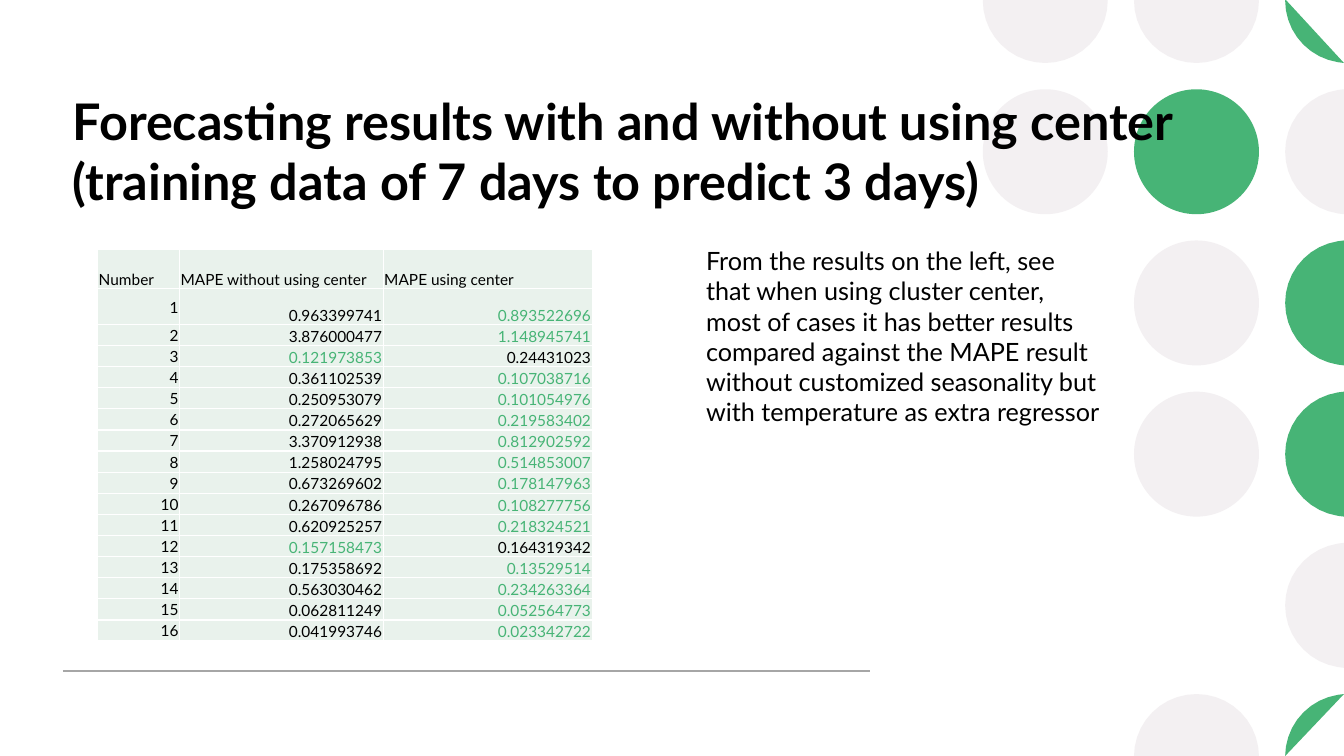
from dataclasses import dataclass
from math import cos, pi, sin

from lxml.etree import SubElement
from pptx import Presentation
from pptx.dml.color import RGBColor
from pptx.enum.shapes import MSO_CONNECTOR, MSO_SHAPE
from pptx.enum.text import MSO_ANCHOR, PP_ALIGN
from pptx.oxml.ns import qn
from pptx.slide import Slide
from pptx.table import _Cell
from pptx.text.text import TextFrame
from pptx.util import Emu, Pt

WIDTH, HEIGHT = 1280, 720


@dataclass(frozen=True)
class Theme:
    font: str = "Lato"
    ink: str = "000000"
    green: str = "47B476"
    grey: str = "F3F0F2"
    rule: str = "A6A6A6"
    cell: str = "E9F2EC"
    title: int = 36
    body: int = 18
    small: int = 11


@dataclass(frozen=True)
class Dot:
    left: int
    top: int
    color: str


@dataclass(frozen=True)
class Label:
    left: int
    top: int
    width: int
    height: int
    text: str
    size: int
    bold: bool = False


@dataclass(frozen=True)
class Result:
    number: int
    without: str
    using: str


THEME = Theme()

# Dot grid: one string per row, g = grey, G = green
DOTS = ["ggG", "gGg", ".gG", ".gG", "..g", ".gG"]
DOT, STEP, LEFT, TOP = 119, 144, 936, -59
SIDES = 40

LABELS = [
    Label(60, 81, 1178, 133,
          "Forecasting results with and without using center "
          "(training data of 7 days to predict 3 days)", THEME.title, True),
    Label(663, 229, 394, 213,
          "From the results on the left, see that when using cluster center, "
          "most of cases it has better results compared against the MAPE result "
          "without customized seasonality but with temperature as extra regressor",
          THEME.body),
]

HEADS = ["Number", "MAPE without using center", "MAPE using center"]
PAIRS = [
    ("0.963399741", "0.893522696"), ("3.876000477", "1.148945741"),
    ("0.121973853", "0.24431023"), ("0.361102539", "0.107038716"),
    ("0.250953079", "0.101054976"), ("0.272065629", "0.219583402"),
    ("3.370912938", "0.812902592"), ("1.258024795", "0.514853007"),
    ("0.673269602", "0.178147963"), ("0.267096786", "0.108277756"),
    ("0.620925257", "0.218324521"), ("0.157158473", "0.164319342"),
    ("0.175358692", "0.13529514"), ("0.563030462", "0.234263364"),
    ("0.062811249", "0.052564773"), ("0.041993746", "0.023342722"),
]
RESULTS = [Result(i, *pair) for i, pair in enumerate(PAIRS, 1)]
COLS = [78, 194, 199]
HEAD, FIRST, REST = 37, 34, 302


def px(value: float) -> Emu:
    return Emu(round(value * 9525))


def rgb(code: str) -> RGBColor:
    return RGBColor.from_string(code)


def write(frame: TextFrame, text: str, size: int, color: str = THEME.ink,
          bold: bool = False, align: PP_ALIGN = PP_ALIGN.LEFT) -> None:
    frame.text = text
    para = frame.paragraphs[0]
    para.alignment = align
    font = para.runs[0].font
    font.name, font.size, font.bold = THEME.font, Pt(size), bold
    font.color.rgb = rgb(color)


def draw_dot(slide: Slide, dot: Dot) -> None:
    """Draw a circle, cut off where it would leave the slide."""
    right, low = dot.left + DOT, dot.top + DOT
    if dot.top >= 0 and right <= WIDTH and low <= HEIGHT:
        shape = slide.shapes.add_shape(
            MSO_SHAPE.OVAL, px(dot.left), px(dot.top), px(DOT), px(DOT))
    else:
        half = DOT / 2
        points = []
        for step in range(SIDES):
            turn = step * 2 * pi / SIDES
            x = min(dot.left + half + half * cos(turn), WIDTH)
            y = min(max(dot.top + half + half * sin(turn), 0), HEIGHT)
            # Cut parts need only the ends of their straight edge
            points.append((px(x), px(y)))
        outline = [p for i, p in enumerate(points)
                   if not is_inner(points[i - 1], p, points[(i + 1) % SIDES])]
        path = slide.shapes.build_freeform(*outline[0])
        path.add_line_segments(outline[1:], close=True)
        shape = path.convert_to_shape()
    shape.shadow.inherit = False
    shape.fill.solid()
    shape.fill.fore_color.rgb = rgb(dot.color)
    shape.line.fill.background()


def is_inner(last: tuple, here: tuple, after: tuple) -> bool:
    """Tell whether a point lies between others on a straight edge."""
    return any(last[i] == here[i] == after[i] for i in (0, 1))


def draw_rule(slide: Slide, left: int, right: int, y: int) -> None:
    line = slide.shapes.add_connector(
        MSO_CONNECTOR.STRAIGHT, px(left), px(y), px(right), px(y))
    line.line.color.rgb = rgb(THEME.rule)
    line.line.width = Pt(1)
    SubElement(line._element.spPr, qn("a:effectLst"))


def draw_label(slide: Slide, label: Label) -> None:
    box = slide.shapes.add_textbox(
        px(label.left), px(label.top), px(label.width), px(label.height))
    box.text_frame.word_wrap = True
    write(box.text_frame, label.text, label.size, bold=label.bold)


def style_cell(cell: _Cell, anchor: MSO_ANCHOR) -> None:
    cell.fill.solid()
    cell.fill.fore_color.rgb = rgb(THEME.cell)
    cell.margin_left = cell.margin_right = cell.margin_top = px(1)
    cell.margin_bottom = 0
    cell.vertical_anchor = anchor


def draw_table(slide: Slide, left: int, top: int) -> None:
    """Draw the results; the default table style gives thin white borders."""
    count = len(RESULTS) + 1
    table = slide.shapes.add_table(
        count, len(COLS), px(left), px(top), px(sum(COLS)),
        px(HEAD + FIRST + REST)).table
    table.first_row = table.horz_banding = False
    for col, width in zip(table.columns, COLS):
        col.width = px(width)
    for i, row in enumerate(table.rows):
        row.height = px((HEAD, FIRST)[i] if i < 2 else REST / (count - 2))
    for i, text in enumerate(HEADS):
        cell = table.cell(0, i)
        style_cell(cell, MSO_ANCHOR.BOTTOM)
        write(cell.text_frame, text, THEME.small)
    # The lower error of each pair is green
    for item in RESULTS:
        best = min(item.without, item.using, key=float)
        for i, text in enumerate((str(item.number), item.without, item.using)):
            cell = table.cell(item.number, i)
            style_cell(cell, MSO_ANCHOR.BOTTOM if i else MSO_ANCHOR.MIDDLE)
            color = THEME.green if text == best else THEME.ink
            write(cell.text_frame, text, THEME.small, color, align=PP_ALIGN.RIGHT)


def main() -> None:
    deck = Presentation()
    deck.slide_width, deck.slide_height = px(WIDTH), px(HEIGHT)
    slide = deck.slides.add_slide(deck.slide_layouts[6])
    # Backdrop
    for i, row in enumerate(DOTS):
        for j, mark in enumerate(row):
            if mark != ".":
                color = THEME.green if mark == "G" else THEME.grey
                draw_dot(slide, Dot(LEFT + j * STEP, TOP + i * STEP, color))
    draw_rule(slide, 60, 829, 639)
    # Content
    title, note = LABELS
    draw_label(slide, title)
    draw_table(slide, 93, 238)
    draw_label(slide, note)
    deck.save("out.pptx")


if __name__ == "__main__":
    main()
